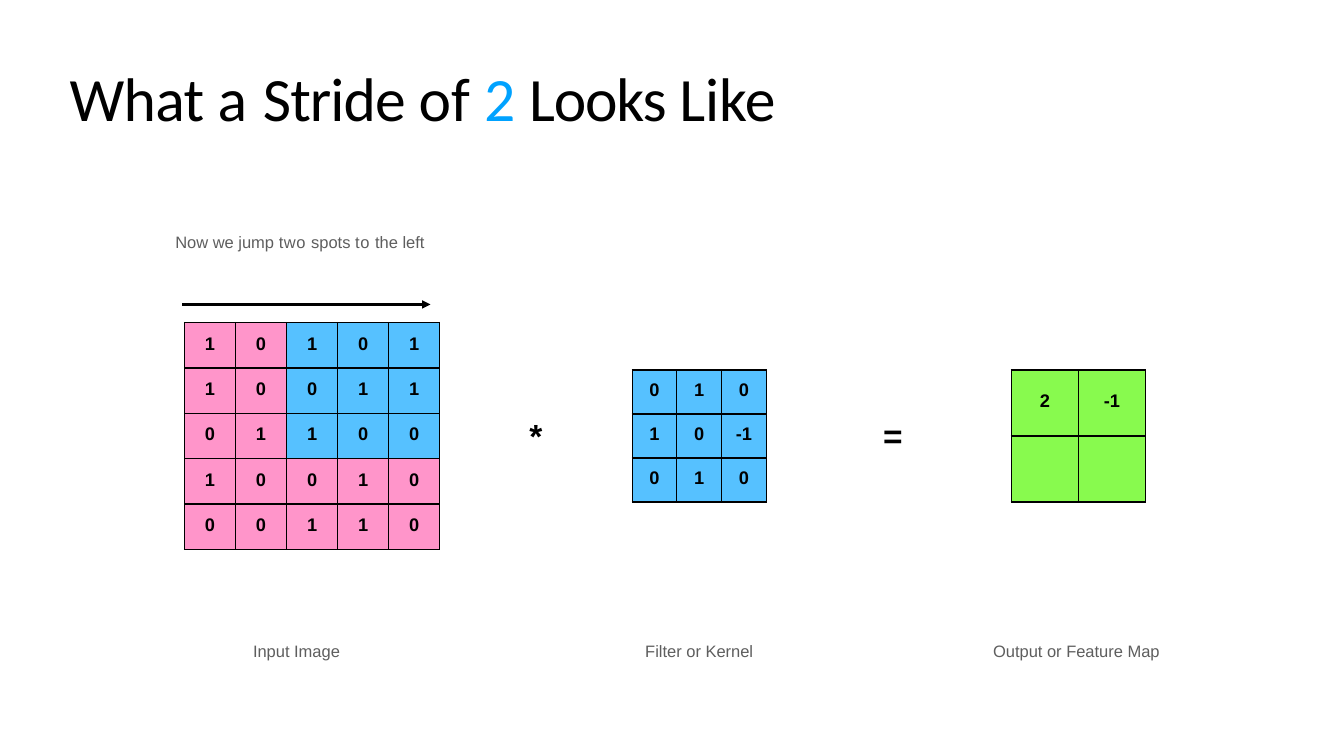
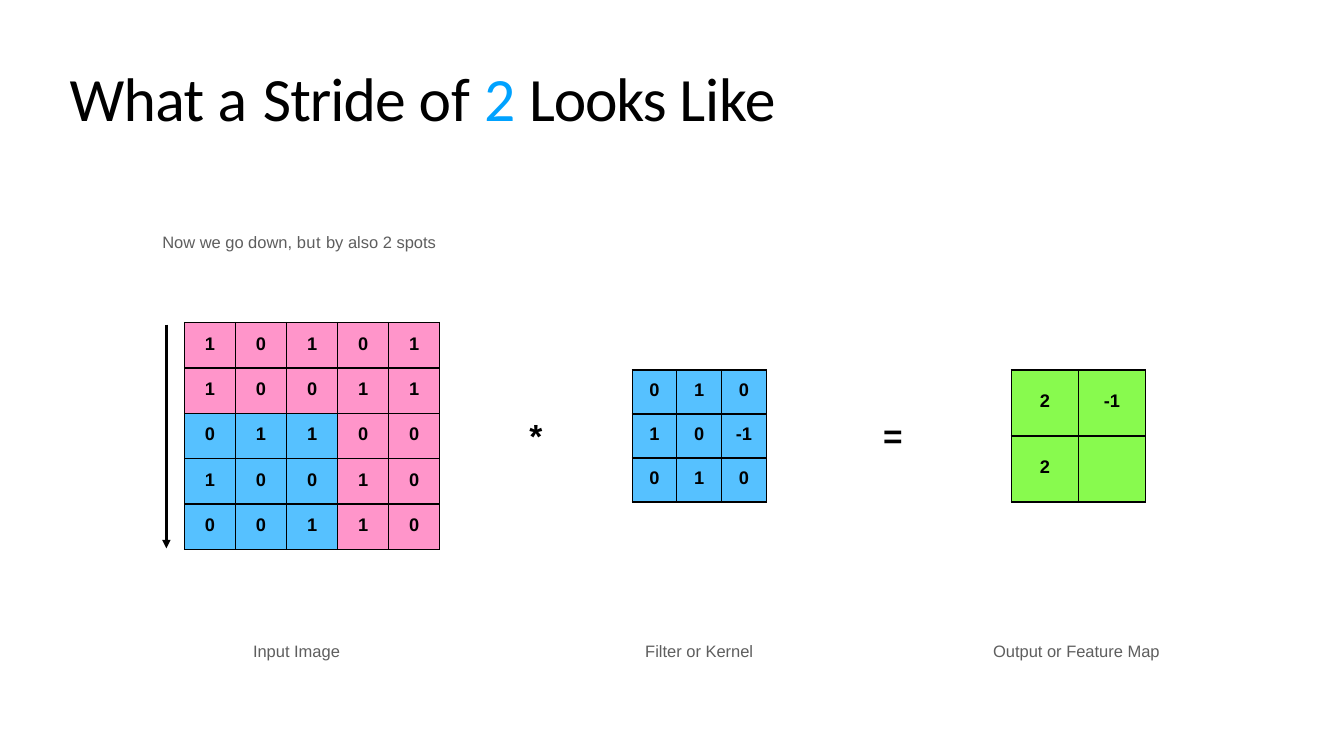
from dataclasses import dataclass

from pptx import Presentation
from pptx.dml import color
from pptx.enum import shapes, text
from pptx.oxml import ns, xmlchemy
from pptx.util import Inches, Pt


# Shared colours, fonts and type sizes
@dataclass(frozen=True)
class Theme:
    ink: str = "000000"
    accent: str = "00A2FF"
    caption: str = "5E5E5E"
    image: str = "FF95CA"
    window: str = "56C1FF"
    result: str = "88FA4E"
    title_font: str = "Calibri"
    body_font: str = "Arial"
    title_size: float = 44
    symbol_size: float = 23.9
    caption_size: float = 11.8
    cell_size: float = 13
    arrow_width: float = 1.65
    border_width: float = 1


THEME = Theme()

# Spans are (wording, letter spacing in points)
TITLE = [("What ", -0.5), ("a ", 0.7), ("Stride ", -0.7), ("of ", 0),
         ("2 ", 0), ("Looks ", -0.9), ("Like", -0.1)]
IMAGE = ["1 0 1 0 1", "1 0 0 1 1", "0 1 1 0 0", "1 0 0 1 0", "0 0 1 1 0"]
KERNEL = ["0 1 0", "1 0 -1", "0 1 0"]
WINDOW_SIZE = len(KERNEL)

# Each step: note, note left and width, window row and column, result, arrow ends
STEPS = [
    ([("Now we jump ", 0), ("two ", 0.4), ("spots ", 0), ("to ", 0.4), ("the left", 0)],
     1.73, 2.7, (0, 2), [["2", "-1"], ["", ""]], (1.81, 3.02, 4.27, 3.02)),
    ([("Now we go down, ", 0), ("but ", 0.3), ("by also 2 spots", 0)],
     1.6, 2.95, (2, 0), [["2", "-1"], ["2", ""]], (1.65, 3.22, 1.65, 5.44)),
]


def rgb(value):
    return color.RGBColor.from_string(value)


def style(para, font, size, ink, bold=False):
    para.font.name = font
    para.font.size = Pt(size)
    para.font.color.rgb = rgb(ink)
    para.font.bold = bold


def add_spans(para, spans):
    for wording, spacing in spans:
        span = para.add_run()
        span.text = wording
        if spacing:
            span.font._element.set("spc", str(round(spacing * 100)))


def trim_frame(frame):
    frame.margin_left = Inches(0.01)
    frame.margin_top = Inches(0.01)
    frame.margin_right = frame.margin_bottom = 0
    frame.word_wrap = True
    frame.auto_size = text.MSO_AUTO_SIZE.NONE


def add_title(page):
    title = page.shapes.title
    title.left, title.top = Inches(0.68), Inches(0.58)
    title.width, title.height = Inches(7.92), Inches(0.75)
    frame = title.text_frame
    trim_frame(frame)
    frame.vertical_anchor = text.MSO_ANCHOR.MIDDLE
    para = frame.paragraphs[0]
    para.alignment = text.PP_ALIGN.LEFT
    style(para, THEME.title_font, THEME.title_size, THEME.ink)
    add_spans(para, TITLE)
    for span in para.runs:
        if span.text.strip() == "2":
            span.font.color.rgb = rgb(THEME.accent)


def add_label(page, spans, left, top, width, height, size, ink, bold=False):
    box = page.shapes.add_textbox(Inches(left), Inches(top), Inches(width), Inches(height))
    trim_frame(box.text_frame)
    para = box.text_frame.paragraphs[0]
    style(para, THEME.body_font, size, ink, bold)
    add_spans(para, spans)


def add_caption(page, spans, left, top, width):
    add_label(page, spans, left, top, width, 0.21, THEME.caption_size, THEME.caption)


def add_symbol(page, symbol, left):
    add_label(page, [(symbol, 0)], left, 4.11, 0.3, 0.41,
              THEME.symbol_size, THEME.ink, bold=True)


def add_borders(cell):
    props = cell._tc.get_or_add_tcPr()
    for side in ("a:lnL", "a:lnR", "a:lnT", "a:lnB"):
        line = xmlchemy.OxmlElement(side)
        line.set("w", str(Pt(THEME.border_width)))
        fill = xmlchemy.OxmlElement("a:solidFill")
        ink = xmlchemy.OxmlElement("a:srgbClr")
        ink.set("val", THEME.ink)
        fill.append(ink)
        line.append(fill)
        props.append(line)


def add_matrix(page, rows, left, top, width, height, inset, fill_at):
    """Draw a grid of numbers; fill_at(row, column) gives the cell colour."""
    table = page.shapes.add_table(len(rows), len(rows[0]), Inches(left), Inches(top),
                                  Inches(width), Inches(height)).table
    table.first_row = table.horz_banding = False
    for row, values in enumerate(rows):
        for column, value in enumerate(values):
            cell = table.cell(row, column)
            add_borders(cell)
            cell.fill.solid()
            cell.fill.fore_color.rgb = rgb(fill_at(row, column))
            cell.margin_left = cell.margin_right = cell.margin_bottom = 0
            cell.margin_top = Inches(inset)
            para = cell.text_frame.paragraphs[0]
            para.alignment = text.PP_ALIGN.CENTER
            style(para, THEME.body_font, THEME.cell_size, THEME.ink, bold=True)
            if value:
                add_spans(para, [(value, 0)])


def add_arrow(page, ends):
    arrow = page.shapes.add_connector(shapes.MSO_CONNECTOR.STRAIGHT,
                                      *(Inches(end) for end in ends))
    arrow.line.color.rgb = rgb(THEME.ink)
    arrow.line.width = Pt(THEME.arrow_width)
    head = xmlchemy.OxmlElement("a:tailEnd")
    head.set("type", "triangle")
    arrow.line._get_or_add_ln().append(head)
    arrow._element.find(ns.qn("p:spPr")).append(xmlchemy.OxmlElement("a:effectLst"))


def add_step(deck, note, note_left, note_width, window, result, arrow_ends):
    page = deck.slides.add_slide(deck.slide_layouts[5])
    add_title(page)

    # Operators and captions
    add_symbol(page, "*", 5.24)
    add_symbol(page, "=", 8.75)
    for caption, left, width in (("Input Image", 2.5, 1),
                                 ("Filter or Kernel", 6.39, 1.2),
                                 ("Output or Feature Map", 9.84, 1.82)):
        add_caption(page, [(caption, 0)], left, 6.35, width)

    # Matrices, with the filter window marked on the input
    first_row, first_column = window

    def input_fill(row, column):
        inside = (first_row <= row < first_row + WINDOW_SIZE
                  and first_column <= column < first_column + WINDOW_SIZE)
        return THEME.window if inside else THEME.image

    add_matrix(page, [row.split() for row in IMAGE], 1.83, 3.2, 2.53, 2.25, 0.11, input_fill)
    add_matrix(page, [row.split() for row in KERNEL], 6.27, 3.67, 1.33, 1.31, 0.1,
               lambda row, column: THEME.window)
    add_matrix(page, result, 10.03, 3.67, 1.33, 1.31, 0.21,
               lambda row, column: THEME.result)

    # Direction of the step
    add_caption(page, note, note_left, 2.29, note_width)
    add_arrow(page, arrow_ends)


def main():
    deck = Presentation()
    deck.slide_width, deck.slide_height = Inches(13.33), Inches(7.5)
    for step in STEPS:
        add_step(deck, *step)
    deck.save("out.pptx")


if __name__ == "__main__":
    main()
